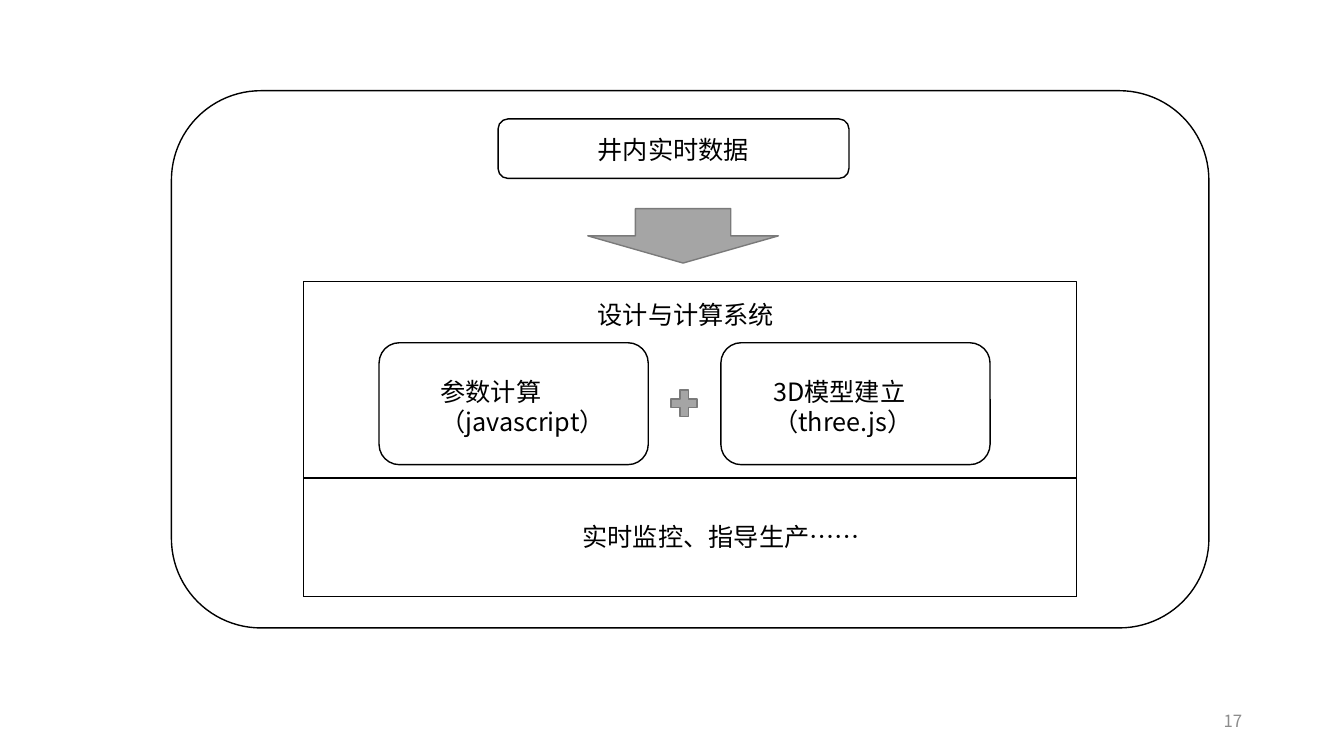
from typing import NamedTuple

from pptx import Presentation, util as u
from pptx.dml.color import RGBColor
from pptx.enum import shapes, text
from pptx.oxml.ns import qn

FONT = "Noto Sans CJK SC"
BLACK, WHITE, GRAY, DARK_GRAY, PALE_GRAY = "000000", "FFFFFF", "A5A5A5", "7A7A7A", "8C8C8C"
GRID = u.Inches(0.1)
SHAPE = shapes.MSO_SHAPE


class Box(NamedTuple):
    """An area of the slide, measured in grid columns and rows."""
    left: float
    top: float
    width: float
    height: float

    def inner(self, left, top, width, height):
        """Return an area placed relative to this one."""
        return Box(self.left + left, self.top + top, width, height)

    def lengths(self):
        """Return the position and size as slide lengths."""
        return [u.Emu(round(value * GRID)) for value in self]


def color(value):
    """Turn a hex string into a colour."""
    return RGBColor.from_string(value)


def add_outline(slide, kind, box, fill=None, line=BLACK):
    """Draw a preset shape with a thin line and an optional fill."""
    shape = slide.shapes.add_shape(kind, *box.lengths())
    shape.shadow.inherit = False
    if fill:
        shape.fill.solid()
        shape.fill.fore_color.rgb = color(fill)
    else:
        shape.fill.background()
    shape.line.color.rgb = color(line)
    shape.line.width = u.Pt(1)


def add_label(slide, box, wording, size=18, ink=BLACK, align=text.PP_ALIGN.LEFT,
              anchor=text.MSO_ANCHOR.TOP):
    """Write one wrapped paragraph of text."""
    frame = slide.shapes.add_textbox(*box.lengths()).text_frame
    frame.word_wrap = True
    frame.vertical_anchor = anchor
    paragraph = frame.paragraphs[0]
    paragraph.alignment = align
    run = paragraph.add_run()
    run.text = wording
    run.font.size = u.Pt(size)
    run.font.name = FONT
    run.font.color.rgb = color(ink)
    properties = run._r.get_or_add_rPr()
    east_asian = properties.makeelement(qn("a:ea"), {"typeface": FONT})
    properties.find(qn("a:latin")).addnext(east_asian)


def add_data_source(slide, box):
    """Draw the input data box."""
    add_outline(slide, SHAPE.ROUNDED_RECTANGLE, box, WHITE)
    add_label(slide, box.inner(8.9, 1, 26.7, 4), "井内实时数据")


def add_module(slide, box, indent, wording):
    """Draw one module of the system with its label."""
    add_outline(slide, SHAPE.ROUNDED_RECTANGLE, box, WHITE)
    add_label(slide, box.inner(indent, 2.8, 19.8, 7.1), wording)


def add_system(slide, box):
    """Draw the design system with its modules and the output band."""
    add_outline(slide, SHAPE.RECTANGLE, box)
    add_label(slide, box.inner(28.2, 1.3, 19.8, 4), "设计与计算系统")
    modules = [(5.1, "参数计算（javascript）"), (4.2, "3D模型建立（three.js）")]
    for index, (indent, wording) in enumerate(modules):
        add_module(slide, box.inner(7.5 + 33.9 * index, 6.1, 26.7, 12.1), indent, wording)
    add_outline(slide, SHAPE.MATH_PLUS, box.inner(36, 10.3, 3.5, 3.6), GRAY, DARK_GRAY)
    output = box.inner(0, 19.5, box.width, 11.8)
    add_outline(slide, SHAPE.RECTANGLE, output)
    add_label(slide, output.inner(26.7, 3.8, 39.6, 4), "实时监控、指导生产……")


def add_panel(slide, box):
    """Draw the rounded panel that holds the whole flow."""
    add_outline(slide, SHAPE.ROUNDED_RECTANGLE, box, WHITE)
    add_data_source(slide, box.inner(32.4, 2.8, 34.8, 5.9))
    add_outline(slide, SHAPE.DOWN_ARROW, box.inner(41.3, 11.7, 18.9, 5.4), GRAY, DARK_GRAY)
    add_system(slide, box.inner(13.1, 18.9, 76.7, 31.3))


def main():
    """Build and save the slide."""
    presentation = Presentation()
    presentation.slide_width = u.Inches(13.33)
    presentation.slide_height = u.Inches(7.5)
    slide = presentation.slides.add_slide(presentation.slide_layouts[6])
    add_label(slide, Box(94.2, 69.5, 30, 4), "17", 12, PALE_GRAY,
              text.PP_ALIGN.RIGHT, text.MSO_ANCHOR.MIDDLE)
    add_panel(slide, Box(17, 9, 102.9, 53.3))
    presentation.save("out.pptx")


if __name__ == "__main__":
    main()
